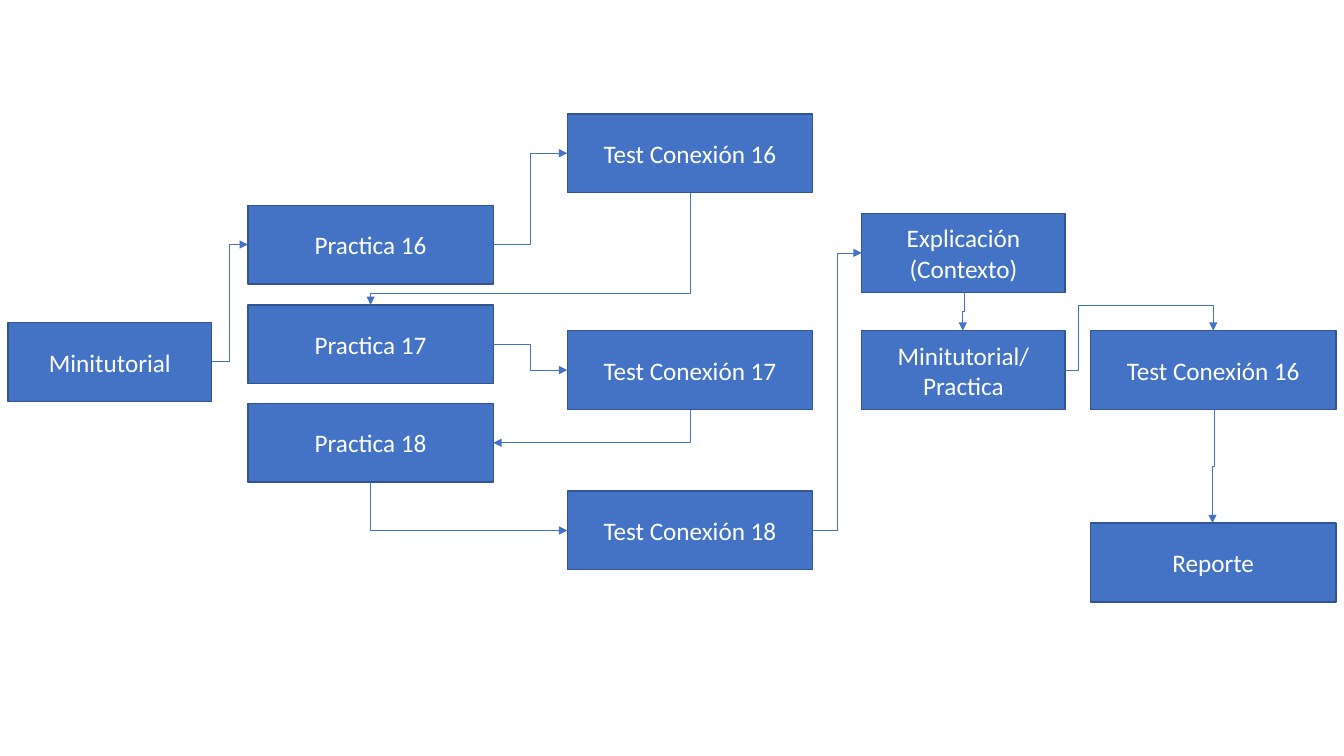
from lxml import etree
from pptx import Presentation
from pptx import util as u
from pptx.dml.color import RGBColor
from pptx.enum import shapes, text
from pptx.oxml.ns import qn

COLORS = {"box": "4472C4", "border": "325491", "arrow": "4472C4", "label": "FFFFFF"}
FONT = "Calibri"
TOP, LEFT, BOTTOM, RIGHT = range(4)
NARROW, WIDE, BOX_HEIGHT = 145.4, 175.2, 56.2
START_X, PRACTICE_X, TEST_X, CONTEXT_X, FINAL_X = 5.8, 177.1, 405.2, 615.5, 779
RETEST_Y = 236.2

# key: (label, left, top, width)
STEPS = {
    "tutorial": ("Minitutorial", START_X, 230.4, NARROW),
    "practice16": ("Practica 16", PRACTICE_X, 146.6, WIDE),
    "practice17": ("Practica 17", PRACTICE_X, 217.8, WIDE),
    "practice18": ("Practica 18", PRACTICE_X, 288.2, WIDE),
    "test16": ("Test Conexión 16", TEST_X, 81.4, WIDE),
    "test17": ("Test Conexión 17", TEST_X, RETEST_Y, WIDE),
    "test18": ("Test Conexión 18", TEST_X, 350.8, WIDE),
    "context": ("Explicación (Contexto)", CONTEXT_X, 152.6, NARROW),
    "review": ("Minitutorial/Practica", CONTEXT_X, RETEST_Y, NARROW),
    "retest": ("Test Conexión 16", FINAL_X, RETEST_Y, WIDE),
    "report": ("Reporte", FINAL_X, 373.7, WIDE),
}

# from, side, to, side, number of the bent connector, bend positions in 1/100000
FLOW = [
    ("tutorial", RIGHT, "practice16", LEFT, 3, [50000]),
    ("practice16", RIGHT, "test16", LEFT, 3, [50000]),
    ("test16", BOTTOM, "practice17", TOP, 3, [89600]),
    ("practice17", RIGHT, "test17", LEFT, 3, [50000]),
    ("test17", BOTTOM, "practice18", RIGHT, 2, []),
    ("practice18", BOTTOM, "test18", LEFT, 2, []),
    ("test18", RIGHT, "context", LEFT, 3, [50000]),
    ("context", BOTTOM, "review", TOP, 3, [50000]),
    ("review", RIGHT, "retest", TOP, 4, [8600, 164300]),
    ("retest", BOTTOM, "report", TOP, 3, [50000]),
]
JOG = u.Pt(1)  # sideways step of an arrow between two aligned boxes


def rgb(name):
    return RGBColor.from_string(COLORS[name])


def add_step(slide, label, left, top, width):
    step = slide.shapes.add_shape(
        shapes.MSO_SHAPE.RECTANGLE, u.Pt(left), u.Pt(top), u.Pt(width), u.Pt(BOX_HEIGHT))
    step.shadow.inherit = False
    step.fill.solid()
    step.fill.fore_color.rgb = rgb("box")
    step.line.color.rgb = rgb("border")
    step.line.width = u.Pt(1)
    frame = step.text_frame
    frame.word_wrap = True
    frame.vertical_anchor = text.MSO_ANCHOR.MIDDLE
    paragraph = frame.paragraphs[0]
    paragraph.alignment = text.PP_ALIGN.CENTER
    run = paragraph.add_run()
    run.text = label
    run.font.name = FONT
    run.font.size = u.Pt(18)
    run.font.color.rgb = rgb("label")
    return step


def side_middle(step, side):
    x = step.left + {LEFT: 0, RIGHT: step.width}.get(side, step.width // 2)
    y = step.top + {TOP: 0, BOTTOM: step.height}.get(side, step.height // 2)
    return x, y


def style_arrow(arrow, kind, bends):
    arrow.line.color.rgb = rgb("arrow")
    arrow.line.width = u.Pt(0.5)
    properties = arrow._element.spPr
    geometry = properties.find(qn("a:prstGeom"))
    geometry.set("prst", f"bentConnector{kind}")
    guides = geometry.find(qn("a:avLst"))
    for number, bend in enumerate(bends, 1):
        etree.SubElement(guides, qn("a:gd"), name=f"adj{number}", fmla=f"val {bend}")
    etree.SubElement(properties.find(qn("a:ln")), qn("a:tailEnd"), type="triangle")
    etree.SubElement(properties, qn("a:effectLst"))


def add_arrow(slide, source, out_side, target, in_side, kind, bends):
    """Draw an elbow arrow that leaves a box to the right or downwards."""
    x1, y1 = side_middle(source, out_side)
    x2, y2 = side_middle(target, in_side)
    aligned = x1 == x2
    if aligned:
        x1, x2 = x1 + JOG // 2, x2 - JOG // 2
    arrow = slide.shapes.add_connector(shapes.MSO_CONNECTOR.ELBOW, x1, y1, x2, y2)
    if not aligned:
        arrow.begin_connect(source, out_side)
        arrow.end_connect(target, in_side)

    downwards = out_side == BOTTOM
    width, height = abs(x2 - x1), abs(y2 - y1)
    if downwards:  # the frame is stored unrotated around the same centre
        width, height = height, width
        arrow.rotation = 270 if x2 > x1 else 90
    arrow.left, arrow.top = (x1 + x2 - width) // 2, (y1 + y2 - height) // 2
    arrow.width, arrow.height = width, height
    frame = arrow._element.spPr.find(qn("a:xfrm"))
    frame.set("flipH", "1" if downwards and x2 > x1 else "0")
    frame.set("flipV", "1" if not downwards and y2 < y1 else "0")
    style_arrow(arrow, kind, bends)


def add_flowchart(slide):
    steps = {key: add_step(slide, *step) for key, step in STEPS.items()}
    for source, out_side, target, in_side, kind, bends in FLOW:
        add_arrow(slide, steps[source], out_side, steps[target], in_side, kind, bends)


def main():
    deck = Presentation()
    deck.slide_width, deck.slide_height = u.Pt(960), u.Pt(540)
    add_flowchart(deck.slides.add_slide(deck.slide_layouts[6]))
    deck.save("out.pptx")


if __name__ == "__main__":
    main()
